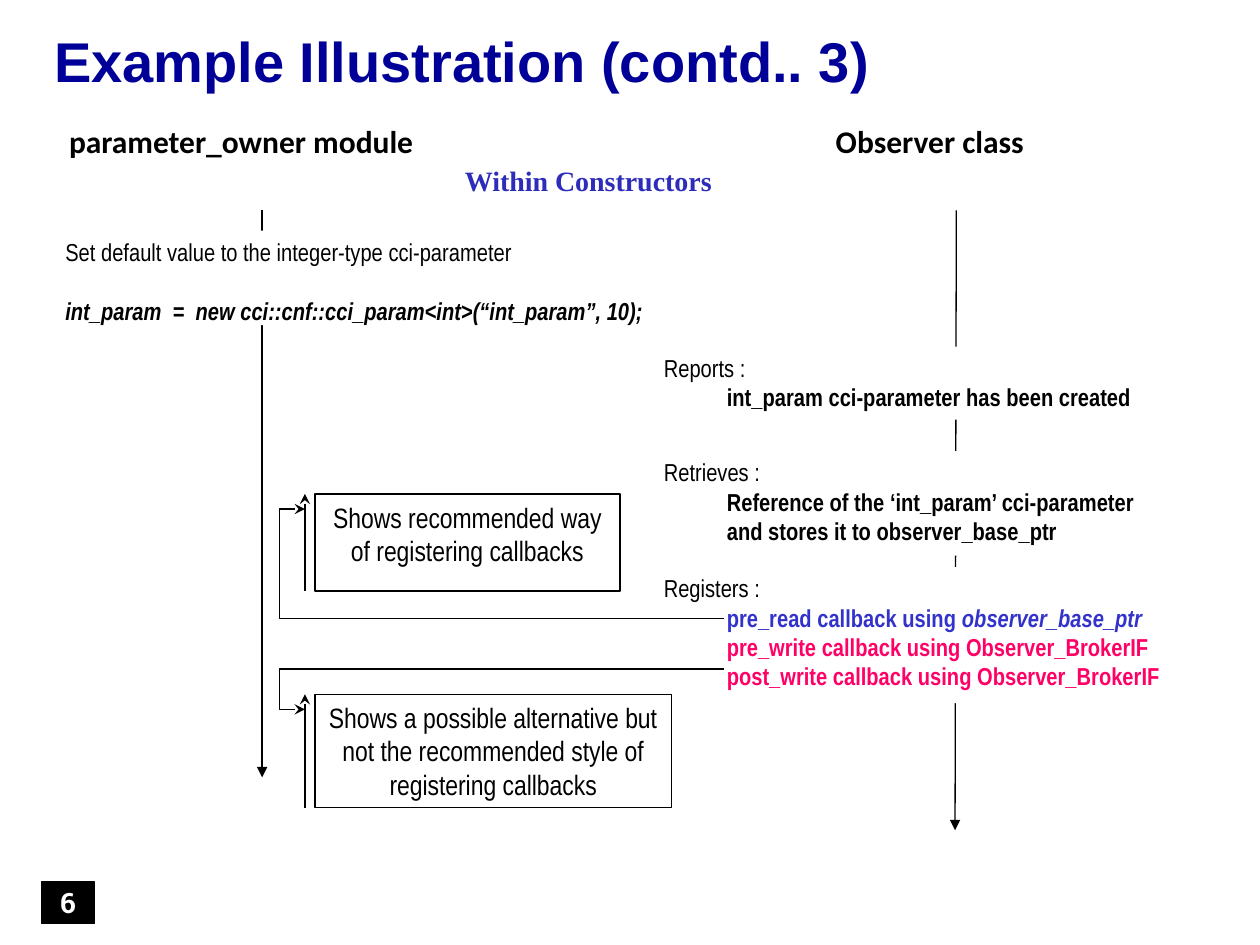
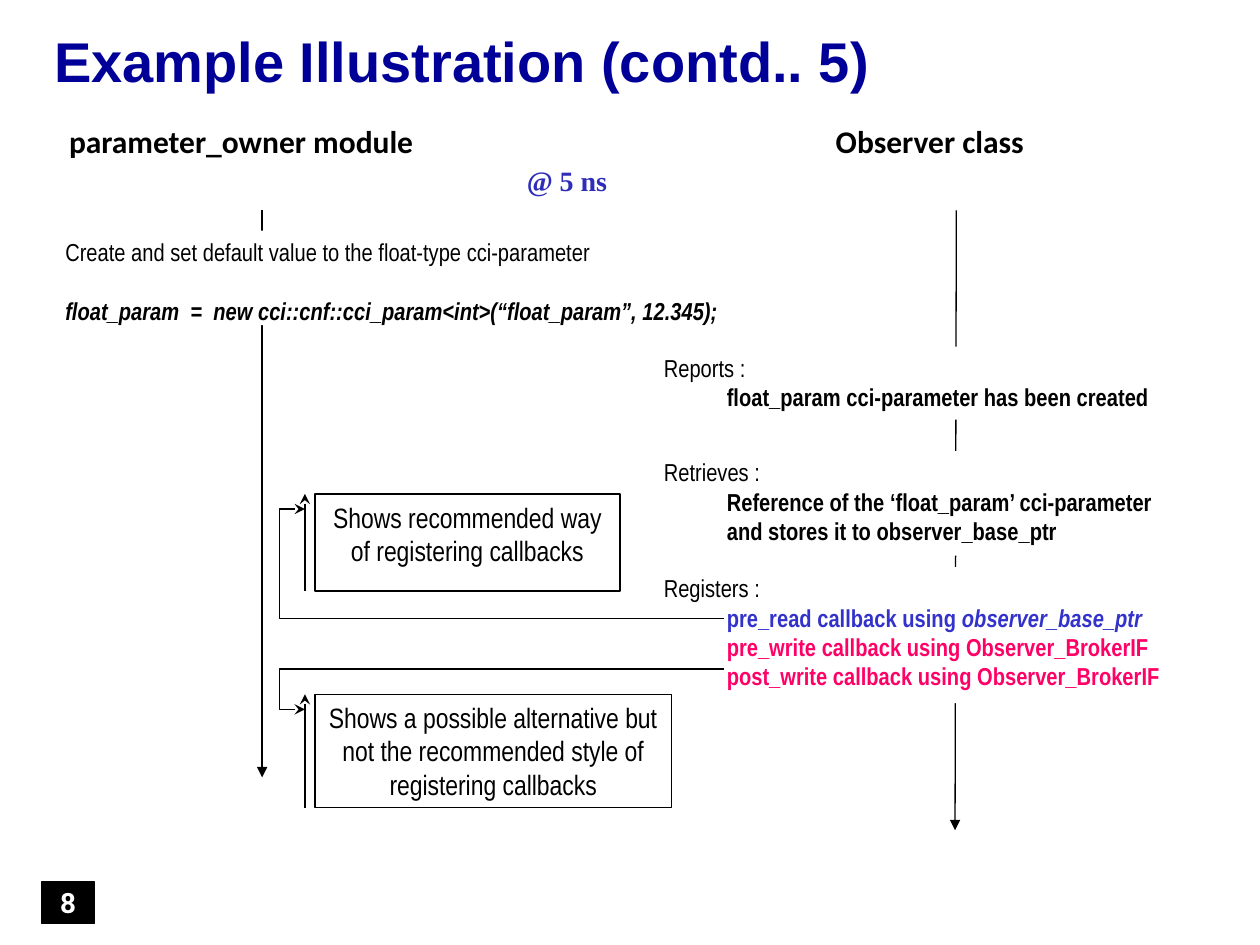
"""Builds two callback sequence slides with a shared layout."""
import pptx
import pptx.util
import pptx.dml.color
import pptx.enum.shapes
import pptx.enum.text
import pptx.oxml.ns
from lxml import etree

Inches = pptx.util.Inches
Pt = pptx.util.Pt
LEFT = pptx.enum.text.PP_ALIGN.LEFT
CENTER = pptx.enum.text.PP_ALIGN.CENTER

COLORS = {
    "black": "000000",
    "white": "FFFFFF",
    "title": "000099",
    "phase": "2D2DB9",
    "recommended": "3333CC",
    "alternative": "FF0066",
}


class Deck:
    """Holds the presentation, its style and the current slide."""

    def __init__(self):
        self.prs = pptx.Presentation()
        self.prs.slide_width = Inches(10)
        self.prs.slide_height = Inches(7.5)
        self.slide = None

    def color(self, name):
        return pptx.dml.color.RGBColor.from_string(COLORS[name])

    def new_slide(self, title):
        self.slide = self.prs.slides.add_slide(self.prs.slide_layouts[5])
        sp = self.slide.shapes.title
        sp.left, sp.top, sp.width, sp.height = map(Inches, (0.33, 0.24, 9.43, 0.59))
        sp.text_frame.auto_size = pptx.enum.text.MSO_AUTO_SIZE.NONE
        self.frame(sp)
        p = self.paragraph(sp, LEFT)
        p.line_spacing = 0.85
        self.run(p, title, 32, "Arial", "title", bold=True)

    def frame(self, sp):
        tf = sp.text_frame
        tf.word_wrap = True
        tf.vertical_anchor = pptx.enum.text.MSO_ANCHOR.TOP
        tf.margin_left = tf.margin_right = Inches(0.1)
        tf.margin_top = tf.margin_bottom = Inches(0.05)

    def paragraph(self, sp, align, first=True, indent=0.0, before=0):
        tf = sp.text_frame
        p = tf.paragraphs[0] if first else tf.add_paragraph()
        if indent:
            p._p.get_or_add_pPr().set("marL", str(Inches(indent)))
        p.alignment = align
        p.space_before = Pt(before)
        return p

    def run(self, p, text, size=14, font="Arial Narrow", color="black", bold=False, italic=False):
        r = p.add_run()
        r.text = text
        r.font.size = Pt(size)
        r.font.name = font
        r.font.bold = bold
        r.font.italic = italic
        r.font.color.rgb = self.color(color)

    def stroke(self, sp, end=None, kind="triangle"):
        sp.line.color.rgb = self.color("black")
        sp.line.width = Pt(0.75)
        if end:
            ln = sp.line._get_or_add_ln()
            etree.SubElement(ln, pptx.oxml.ns.qn("a:" + end), type=kind)

    def box(self, x, y, w, h, fill="white", outlined=False):
        kind = pptx.enum.shapes.MSO_SHAPE.RECTANGLE
        sp = self.slide.shapes.add_shape(kind, Inches(x), Inches(y), Inches(w), Inches(h))
        sp.shadow.inherit = False
        if fill:
            sp.fill.solid()
            sp.fill.fore_color.rgb = self.color(fill)
        else:
            sp.fill.background()
        if outlined:
            self.stroke(sp)
        else:
            sp.line.fill.background()
        self.frame(sp)
        return sp

    def label(self, x, y, w, h, text, size, font, color="black"):
        sp = self.box(x, y, w, h)
        self.run(self.paragraph(sp, CENTER), text, size, font, color, bold=True)

    def page_number(self, number):
        sp = self.box(0.33, 7, 0.42, 0.33, "black", outlined=True)
        sp.text_frame.vertical_anchor = pptx.enum.text.MSO_ANCHOR.MIDDLE
        sp.text_frame.word_wrap = False
        self.run(self.paragraph(sp, CENTER), number, 16, "Roboto Slab", "white", bold=True)

    def line(self, x1, y1, x2, y2, end, kind="triangle"):
        straight = pptx.enum.shapes.MSO_CONNECTOR.STRAIGHT
        cx = self.slide.shapes.add_connector(straight, Inches(x1), Inches(y1), Inches(x2), Inches(y2))
        self.stroke(cx, end, kind)
        etree.SubElement(cx._element.spPr, pptx.oxml.ns.qn("a:effectLst"))

    def step(self, x, y, w, h, heading, details, indent=0.5, before=0):
        sp = self.box(x, y, w, h)
        self.run(self.paragraph(sp, LEFT), heading)
        for runs in details:
            p = self.paragraph(sp, LEFT, False, indent, before)
            for text, style in runs:
                self.run(p, text, bold=True, **style)

    def callout(self, top, w, h, source_y, text):
        x, bar_x, elbow_x, source_x = 2.5, 2.42, 2.22, 5.75
        tip_y = top + 0.12
        sp = self.box(x, top, w, h, fill=None, outlined=True)
        self.run(self.paragraph(sp, CENTER), text, 16)
        fb = self.slide.shapes.build_freeform(Inches(bar_x), Inches(tip_y))
        corners = [(elbow_x, tip_y), (elbow_x, source_y), (source_x, source_y)]
        fb.add_line_segments([(Inches(a), Inches(b)) for a, b in corners], close=False)
        leader = fb.convert_to_shape()
        leader.shadow.inherit = False
        leader.fill.background()
        self.stroke(leader, "headEnd", "stealth")
        self.line(bar_x, top, bar_x, top + h, "headEnd", "stealth")


def sequence_slide(deck, part, page, phase, phase_box, action, param, value, code_w, retrieve_w):
    deck.new_slide(f"Example Illustration (contd.. {part})")
    deck.line(7.59, 1.67, 7.58, 6.59, "tailEnd")
    deck.line(2.08, 1.67, 2.08, 6.17, "tailEnd")
    deck.label(0.33, 0.92, 3.17, 0.42, "parameter_owner module", 18, "Calibri")
    deck.label(5.92, 0.92, 2.92, 0.42, "Observer class", 18, "Calibri")
    phase_x, phase_w = phase_box
    deck.label(phase_x, 1.25, phase_w, 0.33, phase, 16, "Times New Roman", "phase")

    code = f"{param}  =  new cci::cnf::cci_param<int>(“{param}”, {value});"
    deck.step(0.42, 1.83, code_w, 0.75, action, [[(code, {"italic": True})]], indent=0, before=17)
    deck.step(5.17, 2.75, 4.08, 0.58, "Reports :",
              [[(f"{param} cci-parameter has been created", {})]])
    deck.step(5.17, 3.58, retrieve_w, 0.83, "Retrieves :", [
        [(f"Reference of the ‘{param}’ cci-parameter", {})],
        [("and stores it to observer_base_ptr", {})],
    ])
    deck.step(5.17, 4.5, 4.33, 1.08, "Registers :", [
        [("pre_read callback using ", {"color": "recommended"}),
         ("observer_base_ptr", {"color": "recommended", "italic": True})],
        *[[(f"{kind} callback using Observer_BrokerIF", {"color": "alternative"})]
          for kind in ("pre_write", "post_write")],
    ])
    deck.callout(3.92, 2.42, 0.77, 4.91, "Shows recommended way of registering callbacks")
    deck.callout(5.51, 2.83, 0.9, 5.31,
                 "Shows a possible alternative but not the recommended style of registering callbacks")
    deck.page_number(page)


def main():
    deck = Deck()
    sequence_slide(deck, 3, "6", "Within Constructors", (3.17, 3),
                   "Set default value to the integer-type cci-parameter",
                   "int_param", "10", 4.92, 4.08)
    sequence_slide(deck, 5, "8", "@ 5 ns", (4, 1),
                   "Create and set default value to the float-type cci-parameter",
                   "float_param", "12.345", 5.5, 4.25)
    deck.prs.save("out.pptx")


if __name__ == "__main__":
    main()
